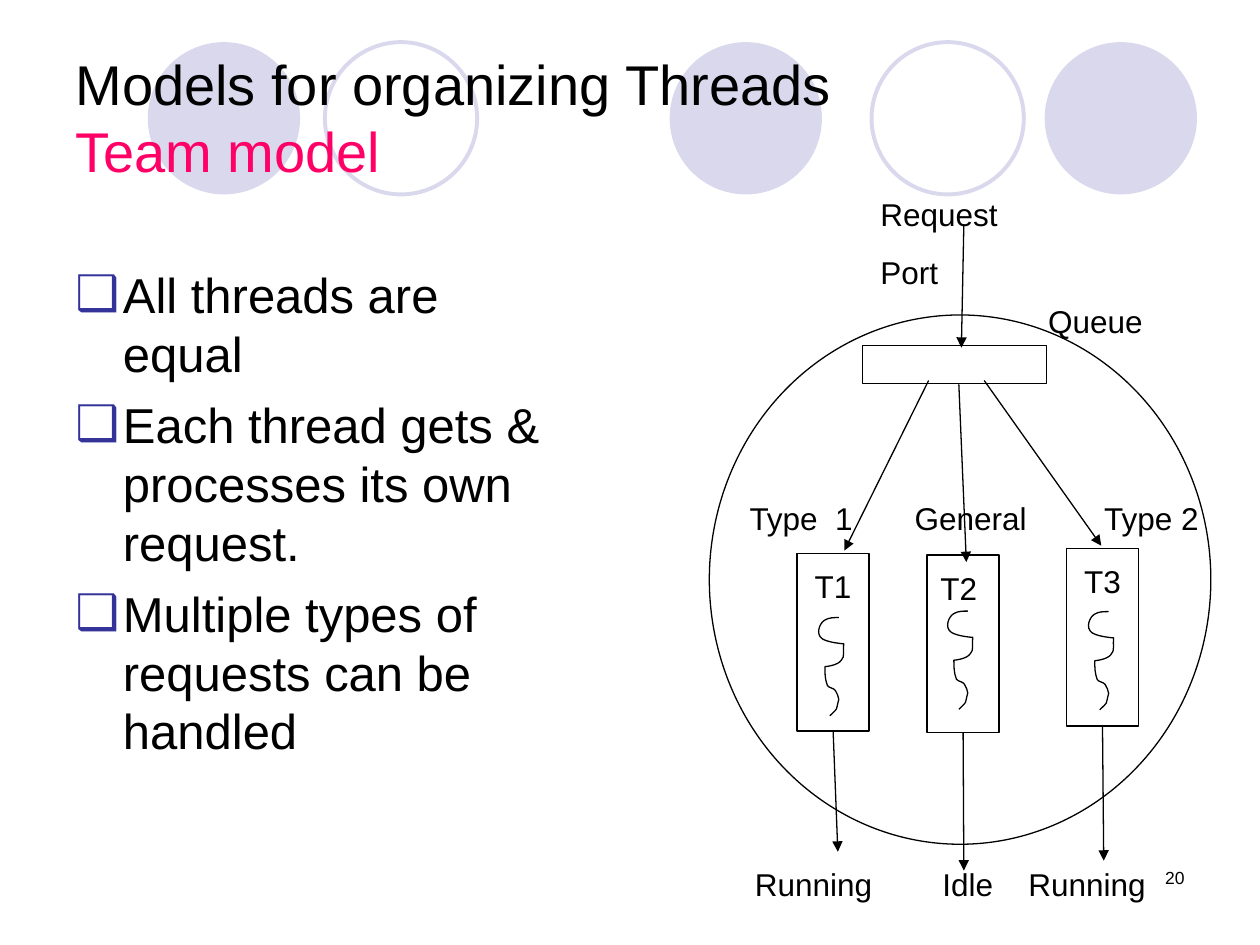
import pptx
import pptx.util
import pptx.dml.color
import pptx.enum.shapes
import pptx.enum.text
import pptx.oxml
import pptx.oxml.ns

Cm, Pt = pptx.util.Cm, pptx.util.Pt
KIND = pptx.enum.shapes.MSO_SHAPE
ALIGN = pptx.enum.text.PP_ALIGN
ANCHOR = pptx.enum.text.MSO_ANCHOR
SPACE = pptx.oxml.ns.nsdecls("a")
INK, PINK, LILAC, NAVY = "000000", "FF0066", "D9D8EC", "333399"

# All places and sizes are in centimetres.
TITLE = [("Models for organizing Threads", INK), ("Team model", PINK)]
POINTS = [
    "All threads are equal",
    "Each thread gets & processes its own request.",
    "Multiple types of requests can be handled",
]
DISCS = [(13.5, True), (21.06, True), (2.98, True), (17.57, False), (6.55, False)]
LABELS = [  # lines, left, top, width, tab stops
    (["Request", "Port"], 17.5, 3.81, 6.07, []),
    (["Queue"], 20.88, 5.97, 3.48, []),
    (["Type  1\tGeneral\tType 2"], 14.86, 9.93, 10.54, [3.33, 7.15]),
    (["Running\tIdle\tRunning"], 14.97, 17.32, 8.89, [3.78, 5.51]),
]
THREADS = [  # name, left, top, curl left, curl top, arrow end
    ("T1", 16.07, 11.16, 16.43, 12.45, (16.89, 17.17)),
    ("T2 ", 18.69, 11.19, 19.03, 12.32, (19.43, 17.55)),
    ("T3", 21.5, 11.06, 21.87, 12.33, (22.25, 17.35)),
]
FLOWS = [  # start, end
    ((19.43, 4.52), (19.38, 7.01)),
    ((18.72, 7.67), (17.02, 11.1)),
    ((19.33, 7.75), (19.48, 11.33)),
    ((19.84, 7.67), (22.2, 11)),
]
CURL = [  # start, then the three control points of each curve
    (.48, 0),
    (.38, 0), (.28, 0), (.2, .05),
    (.1, .1), (0, .33), (.15, .43),
    (.28, .51), (.58, .53), (.58, .53),
    (.56, .66), (.61, .79), (.53, .86),
    (.46, .97), (.2, .99), (.2, .99),
    (.2, 1.12), (.2, 1.24), (.25, 1.37),
    (.28, 1.42), (.38, 1.42), (.41, 1.47),
    (.46, 1.52), (.46, 1.6), (.48, 1.65),
    (.41, 1.91), (.48, 1.8), (.3, 1.98),
]

deck = pptx.Presentation()
deck.slide_width, deck.slide_height = Cm(25.4), Cm(19.05)
slide = deck.slides.add_slide(deck.slide_layouts[6])
shapes = slide.shapes


def hue(code):
    return pptx.dml.color.RGBColor.from_string(code)


def node(text):
    """Make one element of drawing XML from its tag and attributes."""
    return pptx.oxml.parse_xml(text.replace(" ", f" {SPACE} ", 1))


def paint(shape, fill=None, line=INK, width=0.75):
    shape.shadow.inherit = False
    if fill:
        shape.fill.solid()
        shape.fill.fore_color.rgb = hue(fill)
    else:
        shape.fill.background()
    if line:
        shape.line.color.rgb = hue(line)
        shape.line.width = Pt(width)
    else:
        shape.line.fill.background()


def form(kind, x, y, w, h, **look):
    shape = shapes.add_shape(kind, Cm(x), Cm(y), Cm(w), Cm(h))
    paint(shape, **look)
    return shape


def write(para, text, size, color=INK):
    run = para.add_run()
    run.text = text
    run.font.name, run.font.size = "Arial", Pt(size)
    run.font.color.rgb = hue(color)


def box(x, y, w, h):
    frame = shapes.add_textbox(Cm(x), Cm(y), Cm(w), Cm(h)).text_frame
    frame.word_wrap = True
    return frame


def paras(frame, count):
    """Return the frame's first paragraph and as many new ones as needed."""
    return [frame.paragraphs[0]] + [frame.add_paragraph() for _ in range(count - 1)]


def bullet(para):
    props = para._p.get_or_add_pPr()
    props.set("marL", str(Cm(.96)))
    props.set("indent", str(-Cm(.96)))
    color = node("<a:buClr />")
    color.append(node(f'<a:srgbClr val="{NAVY}"/>'))
    props.append(color)
    props.append(node('<a:buFont typeface="Arial"/>'))
    props.append(node('<a:buChar char="❑"/>'))


def tabs(para, stops):
    group = node("<a:tabLst />")
    for stop in stops:
        group.append(node(f'<a:tab pos="{Cm(stop)}" algn="l"/>'))
    para._p.get_or_add_pPr().append(group)


def arrow(start, end):
    ends = [Cm(value) for value in start + end]
    line = shapes.add_connector(pptx.enum.shapes.MSO_CONNECTOR.STRAIGHT, *ends)
    line.line.color.rgb, line.line.width = hue(INK), Pt(0.75)
    line.line._get_or_add_ln().append(node('<a:tailEnd type="triangle"/>'))
    line._element.spPr.append(node("<a:effectLst />"))
    return line


def curl(x, y):
    """Draw the thread sign, turning each three lines into one Bezier curve."""
    dots = [(Cm(x + px), Cm(y + py)) for px, py in CURL]
    pen = shapes.build_freeform(*dots[0])
    pen.add_line_segments(dots[1:], close=False)
    shape = pen.convert_to_shape()
    paint(shape)
    lines = shape._element.xpath(".//a:lnTo")
    for i in range(0, len(lines), 3):
        bend = node("<a:cubicBezTo />")
        lines[i].addprevious(bend)
        for line in lines[i:i + 3]:
            bend.append(line[0])
            line.getparent().remove(line)


for x, solid in DISCS:
    look = {"fill": LILAC, "line": None} if solid else {"line": LILAC, "width": 2.25}
    form(KIND.OVAL, x, .85, 3.07, 3.07, **look)

page = box(18.21, 17.35, 5.92, 1.27).paragraphs[0]
page.alignment = ALIGN.RIGHT
write(page, "20", 10)

head = box(1.27, .76, 22.86, 3.18)
head.vertical_anchor = ANCHOR.MIDDLE
for i, (text, color) in enumerate(TITLE):
    if i:
        head.paragraphs[0].add_line_break()
    write(head.paragraphs[0], text, 32, color)

body = box(1.27, 5.21, 10.39, 11.81)
for para, text in zip(paras(body, len(POINTS)), POINTS):
    para.space_before = Pt(7)
    bullet(para)
    write(para, text, 28)

form(KIND.OVAL, 14.3, 6.35, 10.11, 10.67)
form(KIND.RECTANGLE, 17.39, 6.97, 3.71, .76)
for start, end in FLOWS:
    arrow(start, end)

for name, x, y, left, top, end in THREADS:
    cell = form(KIND.RECTANGLE, x, y, 1.45, 3.58)
    frame = cell.text_frame
    frame.word_wrap = False
    frame.vertical_anchor, frame.margin_top = ANCHOR.TOP, Cm(.28)
    frame.paragraphs[0].alignment = ALIGN.CENTER
    write(frame.paragraphs[0], name, 18)
    curl(left, top)
    arrow((x, y), end).begin_connect(cell, 2)

for lines, x, y, w, stops in LABELS:
    for i, para in enumerate(paras(box(x, y, w, 1.02 * len(lines)), len(lines))):
        para.space_before = Pt(11.2 if i else 0)
        if stops:
            tabs(para, stops)
        write(para, lines[i], 18)

deck.save("out.pptx")
